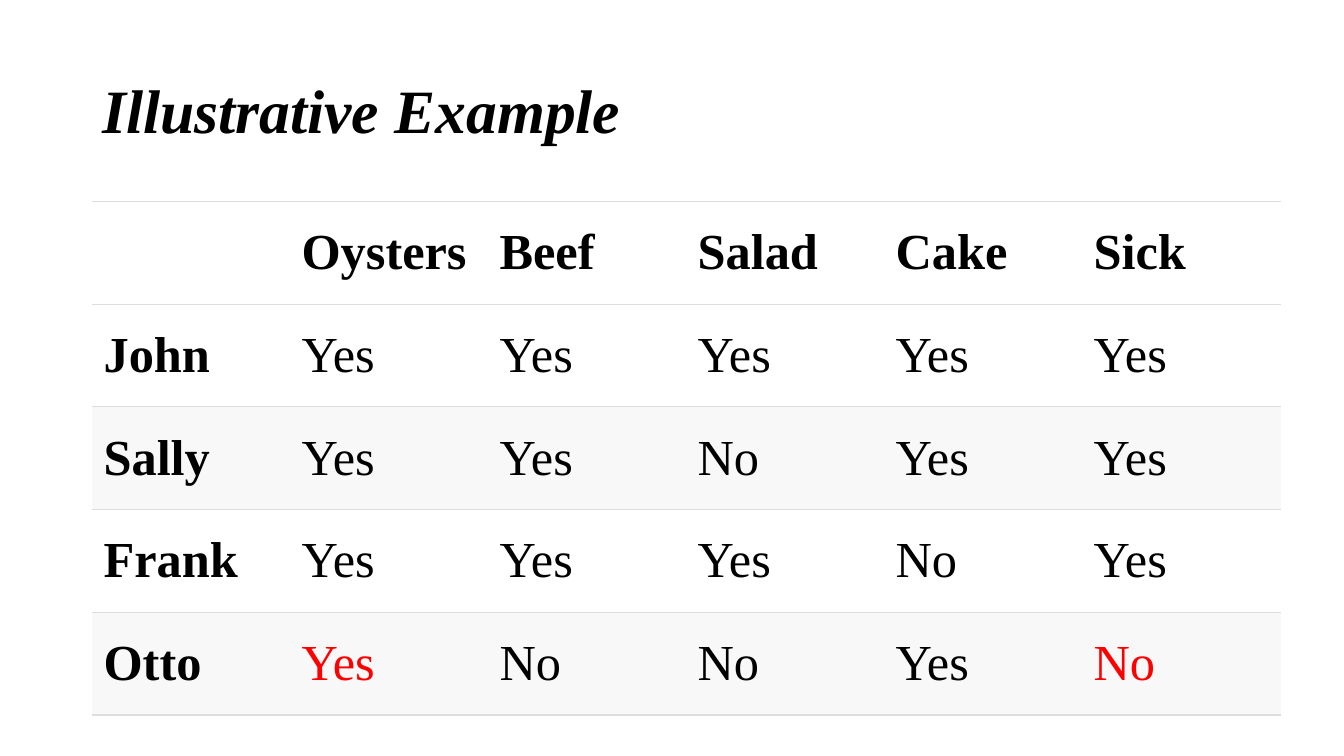
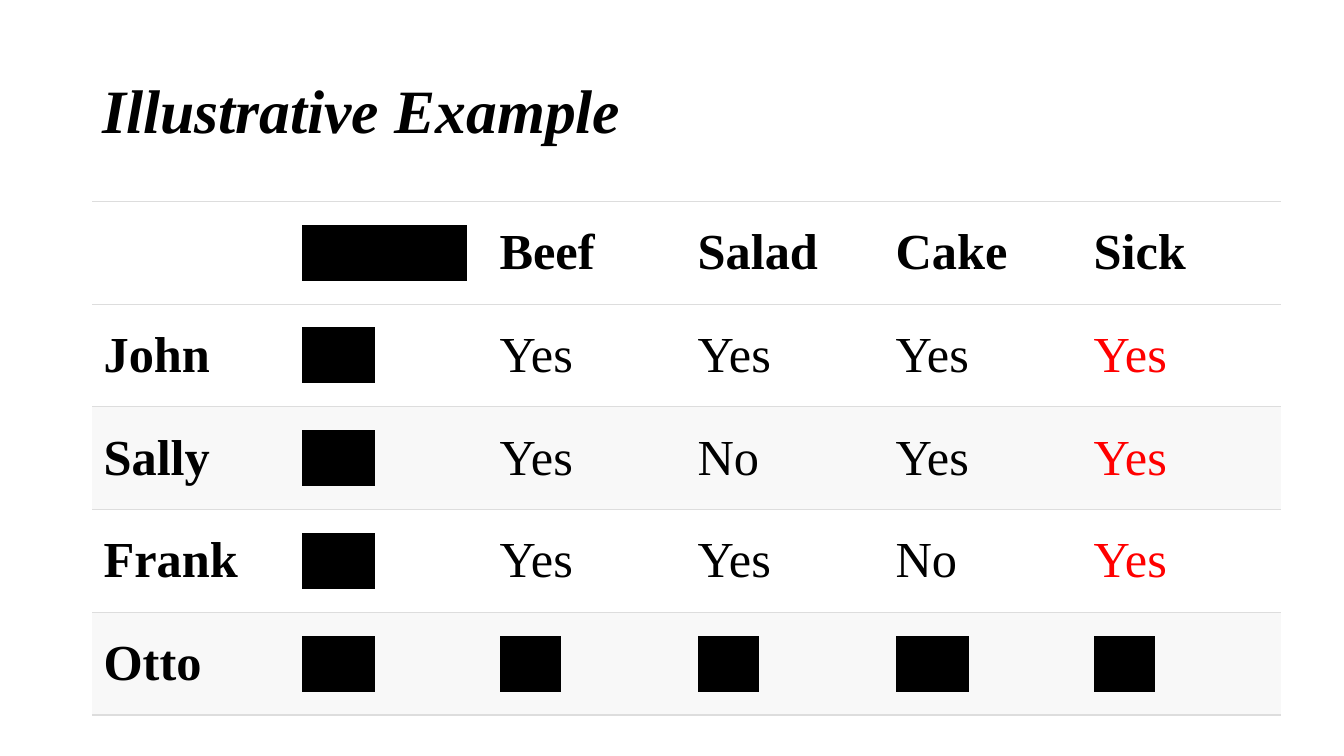
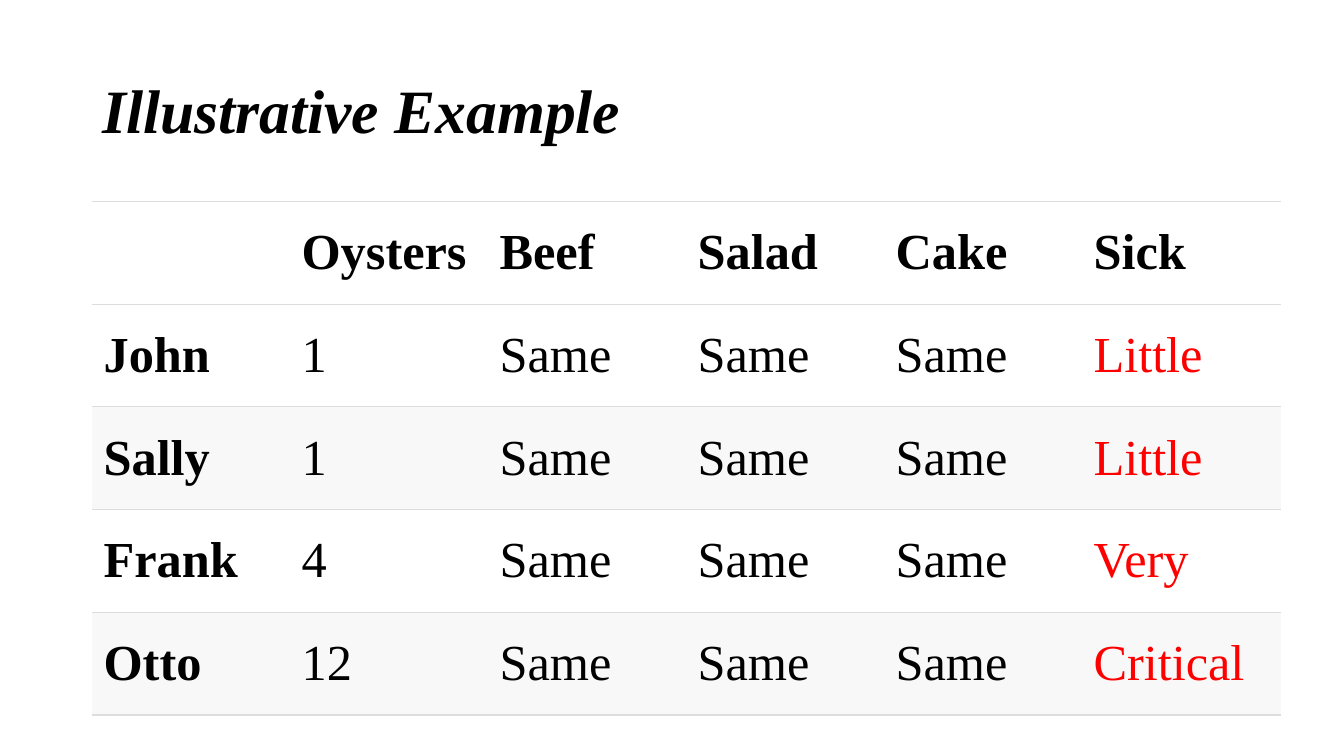
"""Build three slides that compare who ate what and who fell sick."""
import lxml.etree
import pptx
import pptx.dml.color
import pptx.enum.text
import pptx.oxml.ns
import pptx.util

Cm = pptx.util.Cm
Pt = pptx.util.Pt
RGBColor = pptx.dml.color.RGBColor
qn = pptx.oxml.ns.qn
MIDDLE = pptx.enum.text.MSO_ANCHOR.MIDDLE

BLACK = RGBColor(0x00, 0x00, 0x00)
RED = RGBColor(0xFF, 0x00, 0x00)
WHITE = RGBColor(0xFF, 0xFF, 0xFF)
BAND = RGBColor(0xF8, 0xF8, 0xF8)
RULE = RGBColor(0xDD, 0xDD, 0xDD)
FONT = "Times New Roman"

LEFT = Cm(2.33)
COLUMN_WIDTH = Cm(4.99)
ROW_HEIGHT = Cm(2.59)
HEADER = ("", "Oysters", "Beef", "Salad", "Cake", "Sick")
NAMES = ("John", "Sally", "Frank", "Otto")
SICK = HEADER.index("Sick")
OTTO = NAMES.index("Otto") + 1

MEALS = (
    ("Yes", "Yes", "Yes", "Yes", "Yes"),
    ("Yes", "Yes", "No", "Yes", "Yes"),
    ("Yes", "Yes", "Yes", "No", "Yes"),
    ("Yes", "No", "No", "Yes", "No"),
)
AMOUNTS = tuple(
    (oysters, "Same", "Same", "Same", sick)
    for oysters, sick in (("1", "Little"), ("1", "Little"), ("4", "Very"), ("12", "Critical"))
)


def add_text(paragraph, text, size=36, color=BLACK, bold=False, italic=False, highlight=None):
    run = paragraph.add_run()
    run.text = text
    font = run.font
    font.size = Pt(size)
    font.bold = bold
    font.italic = italic
    font.color.rgb = color
    if highlight is not None:
        element = lxml.etree.SubElement(run._r.get_or_add_rPr(), qn("a:highlight"))
        lxml.etree.SubElement(element, qn("a:srgbClr"), val=str(highlight))
    font.name = FONT


def add_title(slide, text):
    shape = slide.shapes.add_textbox(LEFT, Cm(1.01), Cm(29.21), Cm(3.68))
    frame = shape.text_frame
    frame.word_wrap = True
    frame.vertical_anchor = MIDDLE
    paragraph = frame.paragraphs[0]
    paragraph.line_spacing = 0.9
    add_text(paragraph, text, size=44, bold=True, italic=True)


def set_borders(cell, top, bottom):
    properties = cell._tc.get_or_add_tcPr()
    for side, width in (("L", 0), ("R", 0), ("T", top), ("B", bottom)):
        line = lxml.etree.SubElement(properties, qn(f"a:ln{side}"), w=str(Pt(width)))
        if width:
            fill = lxml.etree.SubElement(line, qn("a:solidFill"))
            lxml.etree.SubElement(fill, qn("a:srgbClr"), val=str(RULE))
        else:
            lxml.etree.SubElement(line, qn("a:noFill"))


def add_data_table(slide, records, red=(), hidden=()):
    rows = [HEADER] + [(name, *record) for name, record in zip(NAMES, records)]
    frame = slide.shapes.add_table(
        len(rows), len(HEADER), LEFT, Cm(5.07),
        COLUMN_WIDTH * len(HEADER), ROW_HEIGHT * len(rows),
    )
    table = frame.table
    table.first_row = False
    table.horz_banding = False
    for column in table.columns:
        column.width = COLUMN_WIDTH
    for row_index, row in enumerate(rows):
        table.rows[row_index].height = ROW_HEIGHT
        is_last = row_index == len(rows) - 1
        for column_index, text in enumerate(row):
            cell = table.cell(row_index, column_index)
            place = (row_index, column_index)
            set_borders(cell, 0.6, 1.2 if is_last else 0.6)
            cell.fill.solid()
            cell.fill.fore_color.rgb = BAND if row_index and row_index % 2 == 0 else WHITE
            cell.vertical_anchor = MIDDLE
            cell.margin_left = cell.margin_right = Cm(0.28)
            if text:
                add_text(
                    cell.text_frame.paragraphs[0], text,
                    color=RED if place in red else BLACK,
                    bold=row_index == 0 or column_index == 0,
                    highlight=BLACK if place in hidden else None,
                )


def main():
    presentation = pptx.Presentation()
    presentation.slide_width = Cm(33.87)
    presentation.slide_height = Cm(19.05)

    sick_guests = {(row, SICK) for row in range(1, OTTO)}
    oyster_column = {(row, 1) for row in range(OTTO + 1)}
    otto_row = {(OTTO, column) for column in range(1, SICK + 1)}
    tables = (
        (MEALS, {(OTTO, 1), (OTTO, SICK)}, ()),
        (MEALS, sick_guests, oyster_column | otto_row),
        (AMOUNTS, sick_guests | {(OTTO, SICK)}, ()),
    )
    for records, red, hidden in tables:
        slide = presentation.slides.add_slide(presentation.slide_layouts[6])
        add_title(slide, "Illustrative Example")
        add_data_table(slide, records, red=red, hidden=hidden)
    presentation.save("out.pptx")


if __name__ == "__main__":
    main()
